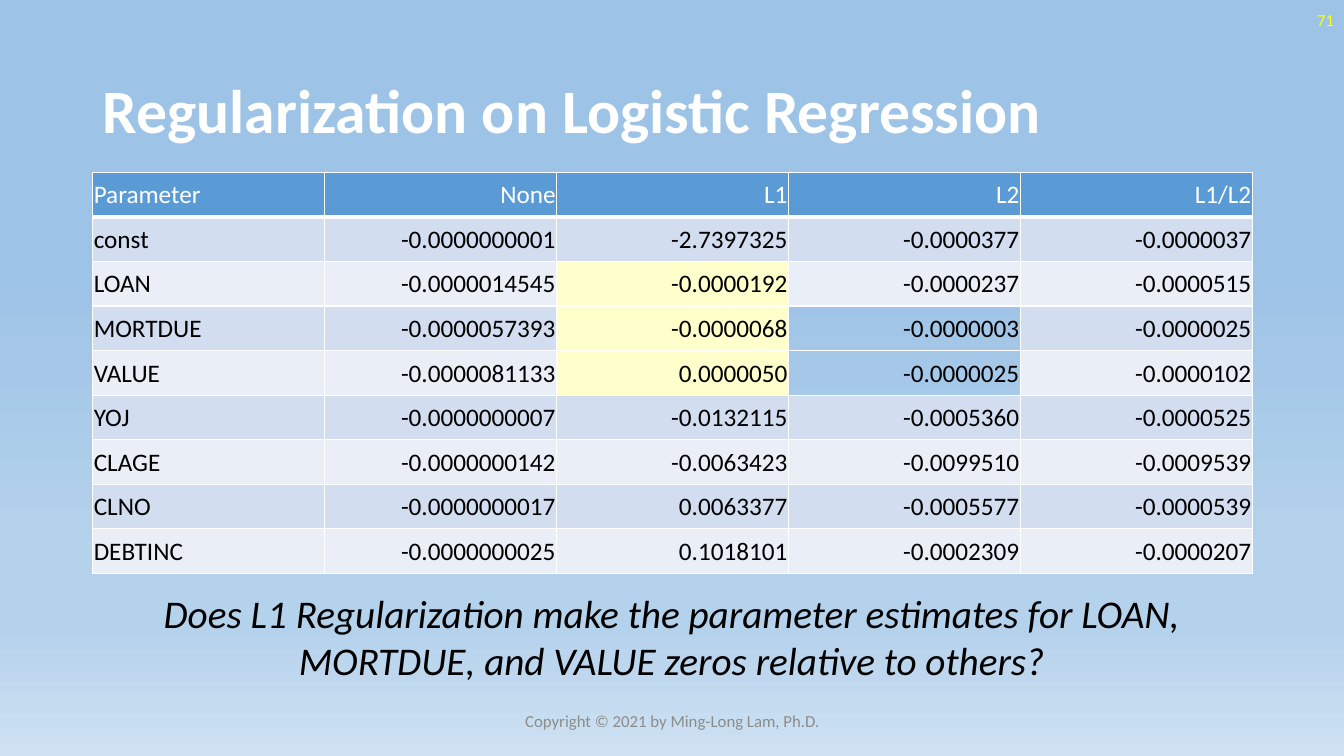
from copy import deepcopy

from lxml import etree
from pptx import Presentation
from pptx import util as u
from pptx.dml.color import RGBColor
from pptx.enum import text
from pptx.oxml import ns

WHITE = RGBColor(0xFF, 0xFF, 0xFF)
BLACK = RGBColor(0x00, 0x00, 0x00)
GRAY = RGBColor(0x8C, 0x8C, 0x8C)
YELLOW = RGBColor(0xFF, 0xFF, 0x00)
HEADER_BLUE = RGBColor(0x5B, 0x9B, 0xD5)
BANDS = RGBColor(0xEA, 0xEF, 0xF7), RGBColor(0xD2, 0xDE, 0xEF)
HIGHLIGHT = RGBColor(0xFF, 0xFF, 0xCC)
SKY, HAZE, HORIZON = (
    RGBColor(0x9D, 0xC3, 0xE6),
    RGBColor(0xB5, 0xD2, 0xEC),
    RGBColor(0xCE, 0xE1, 0xF2),
)
LEFT, CENTER, RIGHT = text.PP_ALIGN.LEFT, text.PP_ALIGN.CENTER, text.PP_ALIGN.RIGHT
MIDDLE, TOP = text.MSO_ANCHOR.MIDDLE, text.MSO_ANCHOR.TOP

ESTIMATES = [
    ("Parameter", "None", "L1", "L2", "L1/L2"),
    ("const", "-0.0000000001", "-2.7397325", "-0.0000377", "-0.0000037"),
    ("LOAN", "-0.0000014545", "-0.0000192", "-0.0000237", "-0.0000515"),
    ("MORTDUE", "-0.0000057393", "-0.0000068", "-0.0000003", "-0.0000025"),
    ("VALUE", "-0.0000081133", "0.0000050", "-0.0000025", "-0.0000102"),
    ("YOJ", "-0.0000000007", "-0.0132115", "-0.0005360", "-0.0000525"),
    ("CLAGE", "-0.0000000142", "-0.0063423", "-0.0099510", "-0.0009539"),
    ("CLNO", "-0.0000000017", "0.0063377", "-0.0005577", "-0.0000539"),
    ("DEBTINC", "-0.0000000025", "0.1018101", "-0.0002309", "-0.0000207"),
]
HIGHLIGHTED = {("LOAN", "L1"), ("MORTDUE", "L1"), ("VALUE", "L1")}
UNFILLED = {("MORTDUE", "L2"), ("VALUE", "L2")}


def px(length):
    return u.Emu(length * 9144)


class SlideBuilder:
    font_name = "Calibri"

    def __init__(self, presentation):
        self.slide = presentation.slides.add_slide(presentation.slide_layouts[5])

    def format_text(self, frame, content, size, color, align, bold=False, italic=False):
        frame.text = content
        paragraph = frame.paragraphs[0]
        paragraph.alignment = align
        font = paragraph.runs[0].font
        font.name, font.size, font.color.rgb = self.font_name, u.Pt(size), color
        font.bold, font.italic = bold, italic
        return paragraph

    def background(self, stops):
        fill = self.slide.background.fill
        fill.gradient()
        fill.gradient_angle = 270
        stop_list = self.slide.element.find(".//" + ns.qn("a:gsLst"))
        while len(stop_list) < len(stops):
            stop_list.append(deepcopy(stop_list[0]))
        for stop, (position, color) in zip(fill.gradient_stops, stops):
            stop.position, stop.color.rgb = position, color

    def title(self, content, left, top, width, height):
        title = self.slide.shapes.title
        title.left, title.top = px(left), px(top)
        title.width, title.height = px(width), px(height)
        title.text_frame.vertical_anchor = MIDDLE
        paragraph = self.format_text(title.text_frame, content, 44, WHITE, LEFT, bold=True)
        paragraph.line_spacing = 0.9

    def text_box(self, content, left, top, width, height, size, color, align,
                 anchor=MIDDLE, italic=False):
        box = self.slide.shapes.add_textbox(px(left), px(top), px(width), px(height))
        frame = box.text_frame
        frame.word_wrap = True
        frame.vertical_anchor = anchor
        self.format_text(frame, content, size, color, align, italic=italic)

    def border(self, cell, side, points):
        line = etree.SubElement(cell._tc.get_or_add_tcPr(), ns.qn(f"a:ln{side}"),
                                w=str(u.Pt(points)))
        fill = etree.SubElement(line, ns.qn("a:solidFill"))
        etree.SubElement(fill, ns.qn("a:srgbClr"), val=str(WHITE))

    def cell(self, cell, content, color, align, fill, top_border, bottom_border):
        cell.margin_left = cell.margin_top = cell.margin_right = px(1)
        cell.margin_bottom = 0
        cell.vertical_anchor = MIDDLE
        paragraph = self.format_text(cell.text_frame, content, 18, color, align)
        paragraph.space_after = u.Pt(6)
        for side, points in zip("LRTB", (1, 1, top_border, bottom_border)):
            self.border(cell, side, points)
        if fill is None:
            cell.fill.background()
        else:
            cell.fill.solid()
            cell.fill.fore_color.rgb = fill

    def table(self, rows, left, top, width, height):
        header = rows[0]
        table = self.slide.shapes.add_table(
            len(rows), len(header), px(left), px(top), px(width), px(height)).table
        for row, values in enumerate(rows):
            for column, value in enumerate(values):
                key = values[0], header[column]
                fill = HEADER_BLUE if row == 0 else BANDS[row % 2]
                if key in HIGHLIGHTED:
                    fill = HIGHLIGHT
                elif key in UNFILLED:
                    fill = None
                self.cell(table.cell(row, column), value,
                          color=WHITE if row == 0 else BLACK,
                          align=LEFT if column == 0 else RIGHT,
                          fill=fill,
                          top_border=3 if row == 1 else 1,
                          bottom_border=3 if row == 0 else 1)


def main():
    presentation = Presentation()
    presentation.slide_width, presentation.slide_height = px(1333), px(750)
    builder = SlideBuilder(presentation)
    builder.background([(0.35, SKY), (0.74, HAZE), (0.83, HAZE), (1.0, HORIZON)])
    builder.title("Regularization on Logistic Regression", 92, 40, 1150, 145)
    builder.text_box("Copyright © 2021 by Ming-Long Lam, Ph.D.", 442, 695, 450, 40,
                     12, GRAY, CENTER)
    builder.text_box("71", 1033, 0, 300, 40, 12, YELLOW, RIGHT)
    builder.table(ESTIMATES, 92, 171, 1150, 398)
    builder.text_box("Does L1 Regularization make the parameter estimates for LOAN, "
                     "MORTDUE, and VALUE zeros relative to others?",
                     84, 580, 1164, 104, 28, BLACK, CENTER, anchor=TOP, italic=True)
    presentation.save("out.pptx")


if __name__ == "__main__":
    main()
